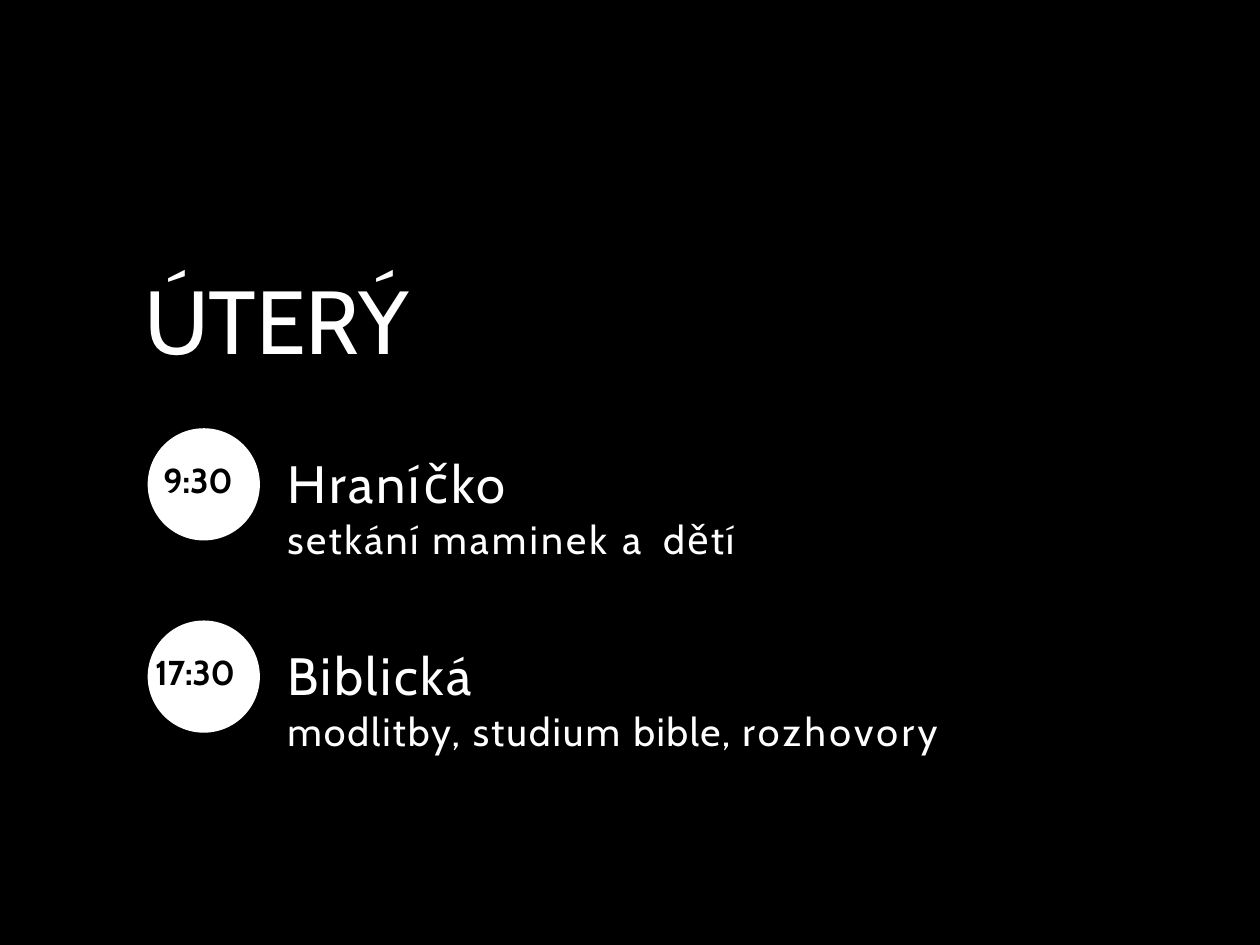
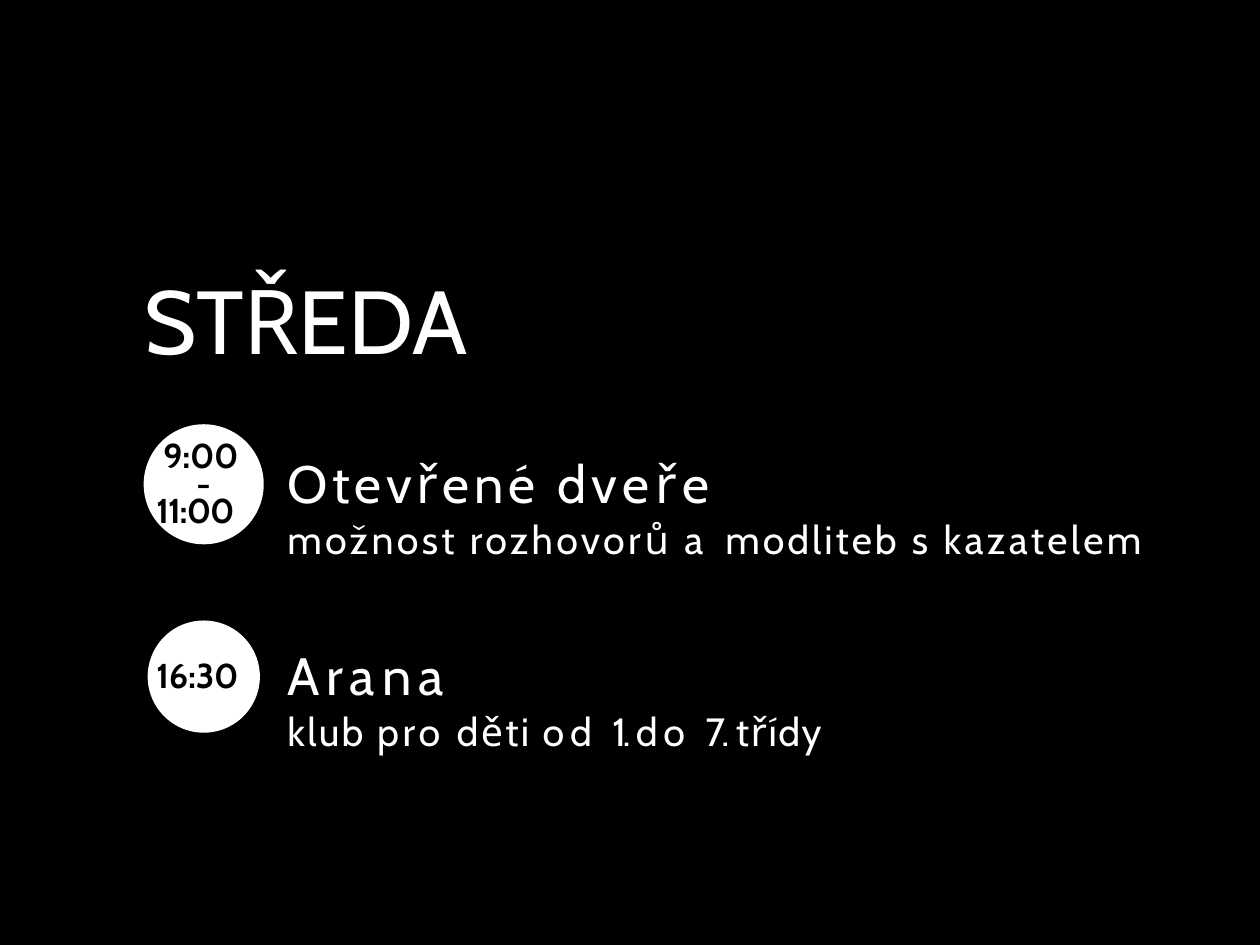
from dataclasses import dataclass

import pptx
import pptx.dml.color
import pptx.enum.shapes
import pptx.enum.text
import pptx.shapes.autoshape
import pptx.slide
import pptx.text.text
import pptx.util

Pt = pptx.util.Pt
RGBColor = pptx.dml.color.RGBColor


@dataclass(frozen=True)
class Theme:
    font: str = "Cabin"
    dark: RGBColor = RGBColor(0, 0, 0)
    light: RGBColor = RGBColor(255, 255, 255)
    title_size: float = 54.5
    event_size: float = 32
    detail_size: float = 24
    time_size: float = 21


@dataclass(frozen=True)
class Span:
    text: str
    tracking: float


@dataclass(frozen=True)
class TimeLabel:
    """One line of time, its top measured from the centre of its circle."""
    span: Span
    left: float
    top: float
    width: float


@dataclass(frozen=True)
class Event:
    times: list[TimeLabel]
    name: list[Span]
    detail: list[Span]
    width: float
    diameter: float = 68.4


@dataclass(frozen=True)
class Day:
    title: Span
    title_width: float
    events: list[Event]


THEME = Theme()
PAGE_WIDTH, PAGE_HEIGHT = 768, 576
TITLE_LEFT, TITLE_TOP, TITLE_HEIGHT = 87, 160.5, 67
CIRCLE_X, FIRST_CIRCLE_Y = 124.2, 295.2
EVENT_LEFT, EVENT_HEIGHT = 174.2, 70.6
EVENT_RISE = 21.6
ROW_STEP = 117.2
TIME_HEIGHT = 27.4

DAYS = [
    Day(Span("ÚTERÝ", -0.2), 164.2, [
        Event(
            [TimeLabel(Span("9:30", -0.2), 98.6, -16.9, 51.1)],
            [Span("Hraníčko", 1.8)],
            [Span("setkání ", 1.5), Span("maminek ", 1.9),
             Span("a ", 4), Span("dětí", 1.1)],
            278.6),
        Event(
            [TimeLabel(Span("17:30", -0.2), 93.6, -16.9, 61.9)],
            [Span("Biblická", 1.5)],
            [Span("modlitby, studium ", 1.2), Span("bible, ", 0.9),
             Span("rozhovory", 2.1)],
            412.6),
    ]),
    Day(Span("STŘEDA", -0.1), 229.7, [
        Event(
            [TimeLabel(Span("9:00", -0.2), 98.6, -31.7, 51.1),
             TimeLabel(Span("-", 2.6), 118.8, -15, 14.4),
             TimeLabel(Span("11:00", -0.6), 94.3, 1.4, 59.8)],
            [Span("Otevřené ", 2.9), Span("dveře", 3.4)],
            [Span("možnost rozhovorů ", 2), Span("a ", 4),
             Span("modliteb ", 1.8), Span("s kazatelem", 2.1)],
            524.9, diameter=73.2),
        Event(
            [TimeLabel(Span("16:30", -0.1), 94.3, -15, 63.4)],
            [Span("Arana", 4.2)],
            [Span("klub ", 1.4), Span("pro ", 2.3), Span("děti ", 1.4),
             Span("od ", 3.5), Span("1. ", -2.2), Span("do ", 3.5),
             Span("7. ", -1.4), Span("třídy", 0.9)],
            337.7),
    ]),
]


def place(box: pptx.shapes.autoshape.Shape, left: float, top: float,
          width: float, height: float) -> None:
    box.left, box.top = Pt(left), Pt(top)
    box.width, box.height = Pt(width), Pt(height)


def prepare_frame(frame: pptx.text.text.TextFrame, top_inset: float) -> None:
    frame.margin_left = frame.margin_right = frame.margin_bottom = 0
    frame.margin_top = Pt(top_inset)
    frame.word_wrap = True
    frame.auto_size = pptx.enum.text.MSO_AUTO_SIZE.SHAPE_TO_FIT_TEXT
    frame.vertical_anchor = pptx.enum.text.MSO_ANCHOR.TOP


def write_spans(para: pptx.text.text._Paragraph, spans: list[Span], size: float,
                color: RGBColor, space_before: float = 1, bold: bool = False) -> None:
    """Fill a paragraph with runs that differ only in letter spacing."""
    para.alignment = pptx.enum.text.PP_ALIGN.LEFT
    para.space_before = Pt(space_before)
    properties = para._p.get_or_add_pPr()
    properties.set("marL", str(Pt(1)))
    properties.set("indent", "0")
    for span in spans:
        run = para.add_run()
        run.text = span.text
        run.font.name = THEME.font
        run.font.size = Pt(size)
        run.font.bold = bold
        run.font.color.rgb = color
        run._r.get_or_add_rPr().set("spc", str(round(span.tracking * 100)))


def add_text_box(page: pptx.slide.Slide, left: float, top: float, width: float,
                 height: float, top_inset: float) -> pptx.text.text.TextFrame:
    box = page.shapes.add_textbox(Pt(left), Pt(top), Pt(width), Pt(height))
    prepare_frame(box.text_frame, top_inset)
    return box.text_frame


def draw_title(page: pptx.slide.Slide, day: Day) -> None:
    title = page.shapes.title
    place(title, TITLE_LEFT, TITLE_TOP, day.title_width, TITLE_HEIGHT)
    prepare_frame(title.text_frame, 0.9)
    write_spans(title.text_frame.paragraphs[0], [day.title],
                THEME.title_size, THEME.light)


def draw_event(page: pptx.slide.Slide, event: Event, center_y: float) -> None:
    radius = event.diameter / 2
    circle = page.shapes.add_shape(
        pptx.enum.shapes.MSO_SHAPE.OVAL, Pt(CIRCLE_X - radius),
        Pt(center_y - radius), Pt(event.diameter), Pt(event.diameter))
    circle.shadow.inherit = False
    circle.fill.solid()
    circle.fill.fore_color.rgb = THEME.light
    circle.line.fill.background()

    for label in event.times:
        frame = add_text_box(page, label.left, center_y + label.top,
                             label.width, TIME_HEIGHT, 1.3)
        write_spans(frame.paragraphs[0], [label.span], THEME.time_size,
                    THEME.dark, space_before=1.3, bold=True)

    frame = add_text_box(page, EVENT_LEFT, center_y - EVENT_RISE,
                         event.width, EVENT_HEIGHT, 1)
    write_spans(frame.paragraphs[0], event.name, THEME.event_size, THEME.light)
    write_spans(frame.add_paragraph(), event.detail, THEME.detail_size, THEME.light)


def main() -> None:
    deck = pptx.Presentation()
    deck.slide_width, deck.slide_height = Pt(PAGE_WIDTH), Pt(PAGE_HEIGHT)
    backdrop = deck.slide_master.background.fill
    backdrop.solid()
    backdrop.fore_color.rgb = THEME.dark
    title_only = deck.slide_layouts.get_by_name("Title Only")
    for day in DAYS:
        page = deck.slides.add_slide(title_only)
        draw_title(page, day)
        for row, event in enumerate(day.events):
            draw_event(page, event, FIRST_CIRCLE_Y + row * ROW_STEP)
    deck.save("out.pptx")


if __name__ == "__main__":
    main()
